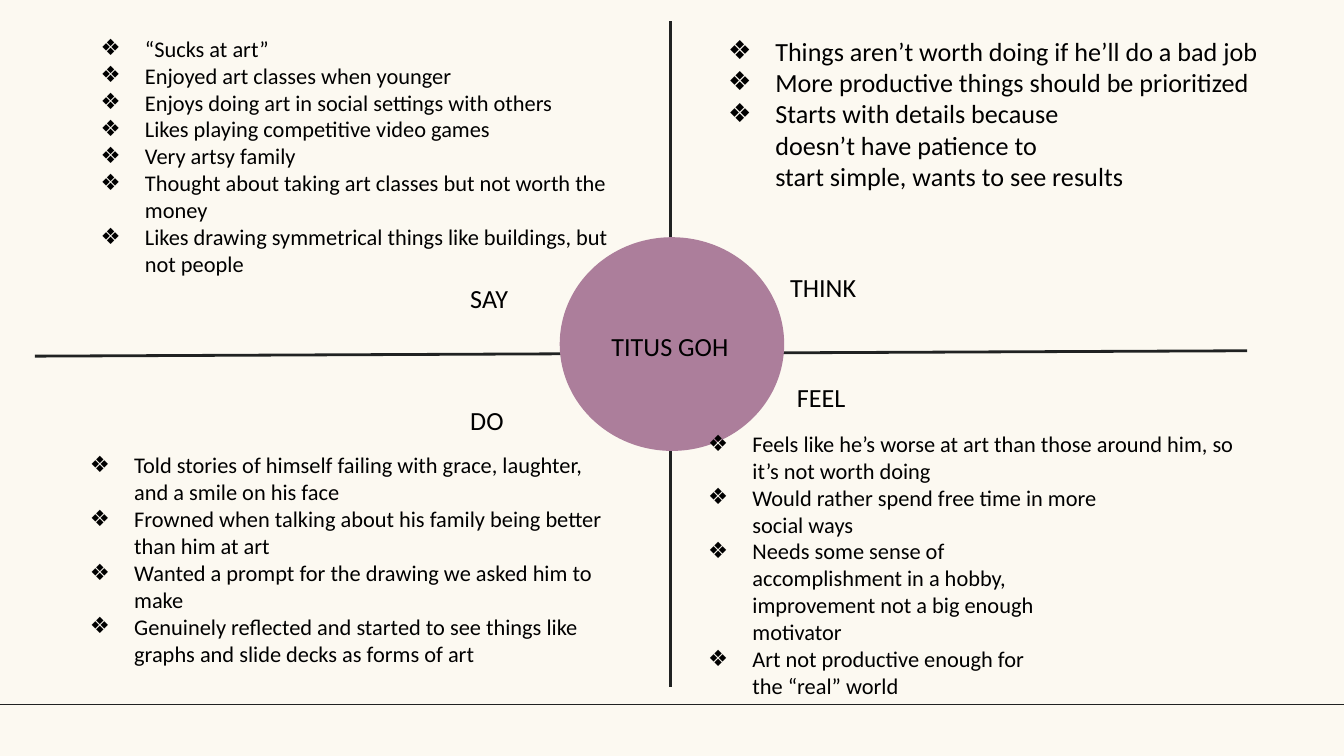
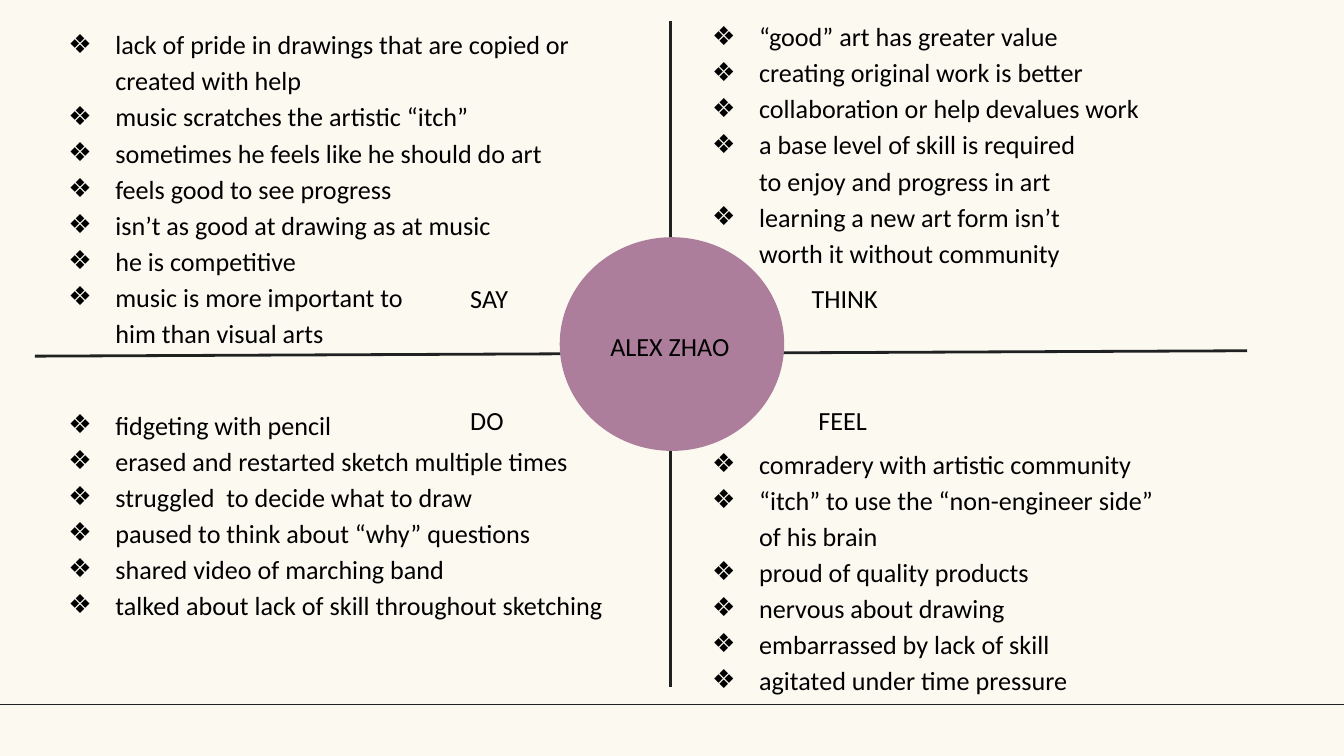
import pptx
import pptx.dml.color
import pptx.enum.shapes
import pptx.enum.text
import pptx.util
from lxml import etree
from pptx.oxml.ns import qn

PX = 4572  # EMU per px, 200 px to the inch
WIDTH, HEIGHT = 2000, 1125
FONT = "Calibri"
COLORS = {"paper": "FCF9F1", "ink": "202222", "plum": "AC7E9B", "text": "000000"}
PAD = 20
TEXT_INDENT = 100

# Each list item is one bullet; a line break starts an unbulleted line under it.
MAPS = [
    {
        "person": "TITUS GOH",
        "labels": {
            "SAY": (680, 400, 238, 130),
            "THINK": (1156, 384, 302, 80),
            "FEEL": (1166, 548, 238, 88),
            "DO": (680, 582, 238, 88),
        },
        "spacing": None,
        "grow": True,
        "notes": [
            ((96, 32, 864, 404), 12, [
                "“Sucks at art”",
                "Enjoyed art classes when younger",
                "Enjoys doing art in social settings with others",
                "Likes playing competitive video games",
                "Very artsy family",
                "Thought about taking art classes but not worth the money",
                "Likes drawing symmetrical things like buildings, but not people",
            ]),
            ((80, 652, 864, 364), 12, [
                "Told stories of himself failing with grace, laughter, and a smile on his face",
                "Frowned when talking about his family being better than him at art",
                "Wanted a prompt for the drawing we asked him to make",
                "Genuinely reflected and started to see things like graphs and slide decks "
                "as forms of art",
            ]),
            ((1000, 620, 864, 538), 12, [
                "Feels like he’s worse at art than those around him, so it’s not worth doing",
                "Would rather spend free time in more\nsocial ways",
                "Needs some sense of\naccomplishment in a hobby,\n"
                "improvement not a big enough\nmotivator",
                "Art not productive enough for\nthe “real” world",
            ]),
            ((1034, 32, 864, 370), 14, [
                "Things aren’t worth doing if he’ll do a bad job",
                "More productive things should be prioritized",
                "Starts with details because\ndoesn’t have patience to\n"
                "start simple, wants to see results",
            ]),
        ],
    },
    {
        "person": "ALEX ZHAO",
        "labels": {
            "SAY": (680, 400, 238, 130),
            "THINK": (1188, 400, 302, 80),
            "FEEL": (1198, 582, 238, 88),
            "DO": (680, 582, 238, 88),
        },
        "spacing": 1.15,
        "grow": False,
        "notes": [
            ((52, 16, 892, 468), 14, [
                "lack of pride in drawings that are copied or created with help",
                "music scratches the artistic “itch”",
                "sometimes he feels like he should do art",
                "feels good to see progress",
                "isn’t as good at drawing as at music",
                "he is competitive",
                "music is more important to\nhim than visual arts",
            ]),
            ((52, 582, 876, 430), 14, [
                "fidgeting with pencil",
                "erased and restarted sketch multiple times",
                "struggled  to decide what to draw",
                "paused to think about “why” questions",
                "shared video of marching band",
                "talked about lack of skill throughout sketching",
            ]),
            ((1010, 4, 806, 468), 14, [
                "“good” art has greater value",
                "creating original work is better",
                "collaboration or help devalues work",
                "a base level of skill is required\nto enjoy and progress in art",
                "learning a new art form isn’t\nworth it without community",
            ]),
            ((1010, 640, 876, 358), 14, [
                "comradery with artistic community",
                "“itch” to use the “non-engineer side”\nof his brain",
                "proud of quality products",
                "nervous about drawing",
                "embarrassed by lack of skill",
                "agitated under time pressure",
            ]),
        ],
    },
]


def px(*lengths):
    return [pptx.util.Emu(n * PX) for n in lengths]


def rgb(name):
    return pptx.dml.color.RGBColor.from_string(COLORS[name])


def add_line(slide, start, end, weight):
    line = slide.shapes.add_connector(
        pptx.enum.shapes.MSO_CONNECTOR.STRAIGHT, *px(*start, *end))
    line.line.color.rgb = rgb("ink")
    line.line.width = pptx.util.Pt(weight)
    etree.SubElement(line._element.spPr, qn("a:effectLst"))
    return line


def add_frame(slide, box, grow=False):
    """Add an empty padded text box and return its text frame."""
    tf = slide.shapes.add_textbox(*px(*box)).text_frame
    tf.word_wrap = True
    tf.margin_left, tf.margin_top, tf.margin_right, tf.margin_bottom = px(*[PAD] * 4)
    fit = pptx.enum.text.MSO_AUTO_SIZE
    tf.auto_size = fit.SHAPE_TO_FIT_TEXT if grow else fit.NONE
    return tf


def add_run(p, text, size):
    r = p.add_run()
    r.text = text
    r.font.name = FONT
    r.font.size = pptx.util.Pt(size)
    r.font.color.rgb = rgb("text")


def set_bullet(p, size, bulleted):
    """Indent a paragraph, with a hanging diamond if it is bulleted."""
    hang = (66 if size == 12 else 70) if bulleted else 0
    pPr = p._p.get_or_add_pPr()
    pPr.set("marL", str(TEXT_INDENT * PX))
    pPr.set("indent", str(-hang * PX))
    if bulleted:
        color = etree.SubElement(pPr, qn("a:buClr"))
        etree.SubElement(color, qn("a:srgbClr"), val=COLORS["text"])
        etree.SubElement(pPr, qn("a:buFont"), typeface=FONT)
        etree.SubElement(pPr, qn("a:buChar"), char="❖")
    else:
        etree.SubElement(pPr, qn("a:buNone"))


def add_notes(slide, box, size, items, spacing, grow):
    tf = add_frame(slide, box, grow)
    lines = [(line, i == 0) for item in items for i, line in enumerate(item.split("\n"))]
    for n, (line, bulleted) in enumerate(lines):
        p = tf.add_paragraph() if n else tf.paragraphs[0]
        set_bullet(p, size, bulleted)
        if spacing:
            p.line_spacing = spacing
        add_run(p, line, size)


def add_label(slide, box, text, align=None, grow=False):
    p = add_frame(slide, box, grow).paragraphs[0]
    p.alignment = align
    add_run(p, text, 14)


def add_axes(slide, box):
    """Draw the cross and its centre disc inside the box."""
    x, y, w, h = box
    add_line(slide, (x + 946, y + h), (x + 946, y), 1.5)
    add_line(slide, (x, y + 498), (x + w, y + 490), 1.5)
    disc = slide.shapes.add_shape(
        pptx.enum.shapes.MSO_SHAPE.OVAL, *px(x + 782, y + 322, 332, 316))
    disc.shadow.inherit = False
    disc.fill.solid()
    disc.fill.fore_color.rgb = rgb("plum")
    disc.line.color.rgb = rgb("plum")
    disc.line.width = pptx.util.Pt(0.75)


def add_empathy_map(slide, person, labels, notes, spacing, grow):
    add_axes(slide, (52, 32, 1804, 990))
    for text, box in labels.items():
        add_label(slide, box, text, grow=text == "DO")
    add_label(slide, (846, 472, 302, 80), person, pptx.enum.text.PP_ALIGN.CENTER)
    for box, size, items in notes:
        add_notes(slide, box, size, items, spacing, grow)


def style_master(prs, slide):
    """Give the master its background and footer rule, drawn by way of a slide."""
    master = prs.slide_master
    master.background.fill.solid()
    master.background.fill.fore_color.rgb = rgb("paper")
    rule = add_line(slide, (2008, 1048), (0, 1048), 0.75)
    master.shapes.element.append(rule._element)


def main():
    prs = pptx.Presentation()
    prs.slide_width, prs.slide_height = px(WIDTH, HEIGHT)
    slides = [prs.slides.add_slide(prs.slide_layouts[6]) for _ in MAPS]
    style_master(prs, slides[0])
    for slide, content in zip(slides, MAPS):
        add_empathy_map(slide, **content)
    prs.save("out.pptx")


if __name__ == "__main__":
    main()
